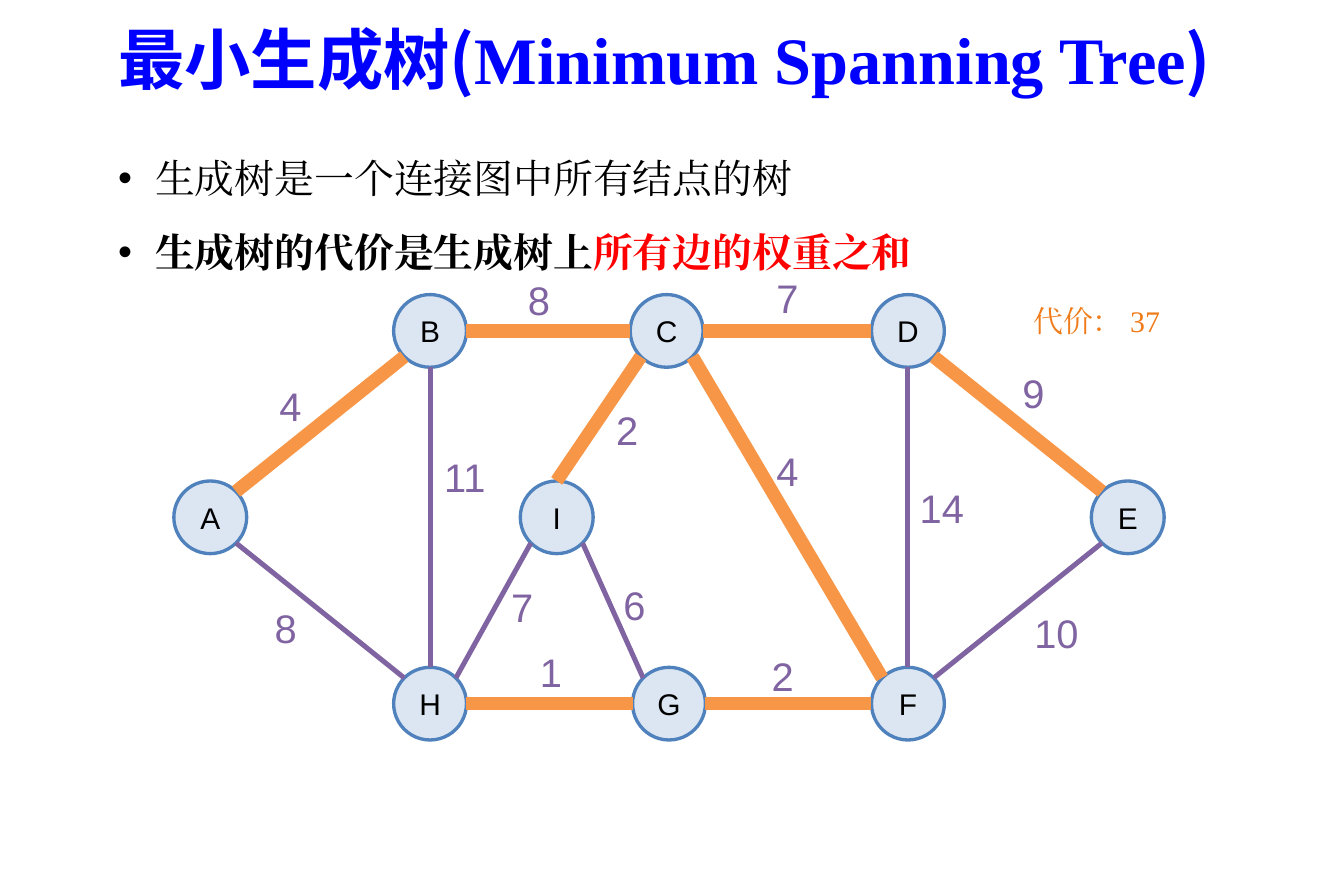
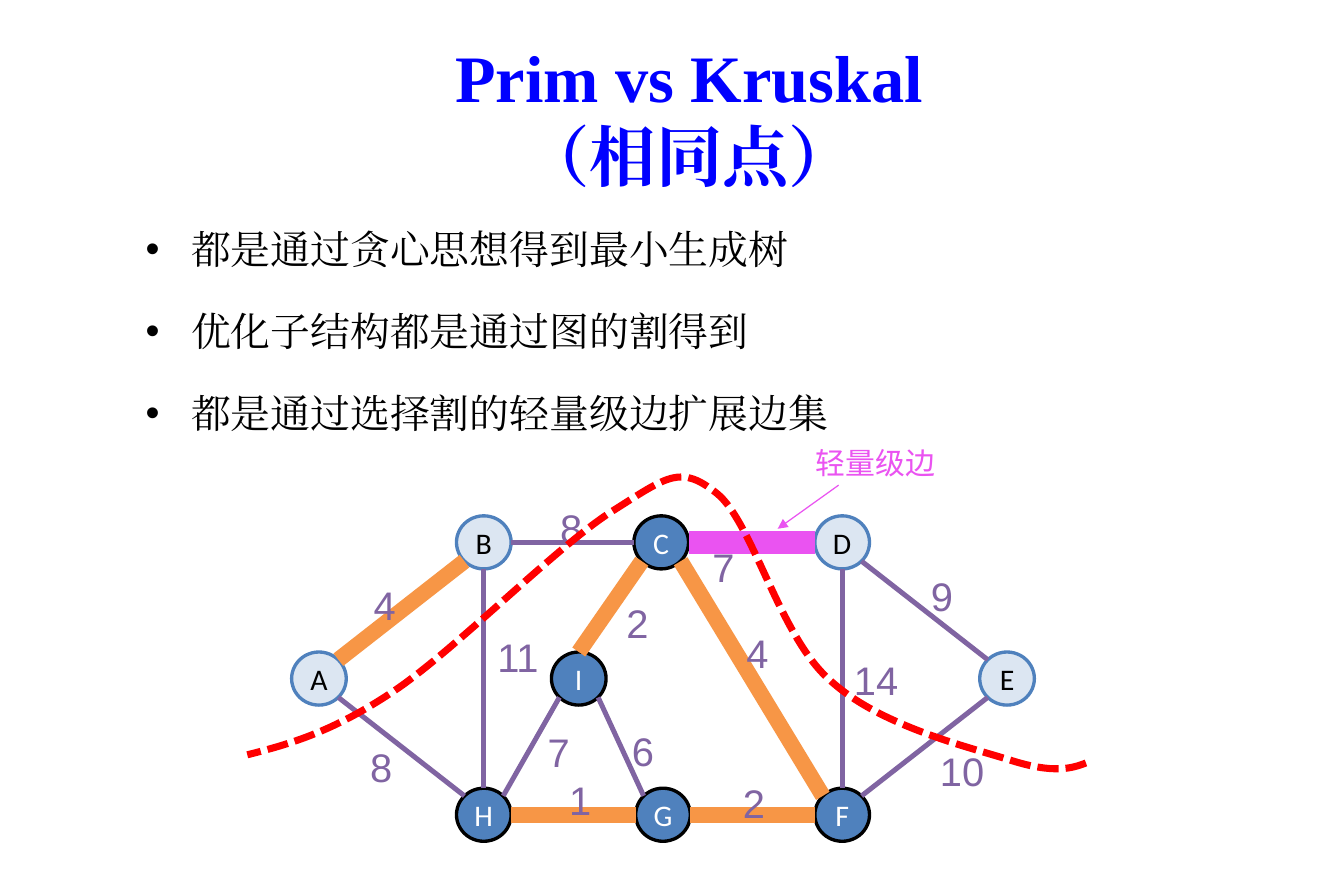
"""Build two slides on minimum spanning trees and save them as out.pptx."""
from dataclasses import dataclass, field
from typing import NamedTuple

from lxml import etree
from pptx import Presentation
from pptx.dml.color import RGBColor
from pptx.enum.dml import MSO_LINE
from pptx.enum.shapes import MSO_CONNECTOR, MSO_SHAPE
from pptx.enum.text import MSO_ANCHOR, PP_ALIGN
from pptx.oxml.ns import qn
from pptx.util import Inches, Pt

ELLIPSE = MSO_SHAPE.OVAL
STRAIGHT = MSO_CONNECTOR.STRAIGHT
SYS_DASH = MSO_LINE.SQUARE_DOT
MIDDLE, TOP = MSO_ANCHOR.MIDDLE, MSO_ANCHOR.TOP
LEFT, CENTER, JUSTIFY = PP_ALIGN.LEFT, PP_ALIGN.CENTER, PP_ALIGN.JUSTIFY


@dataclass(frozen=True)
class Theme:
    """Colours, fonts and sizes shared by the slides."""
    title: str = "0000FF"
    ink: str = "000000"
    white: str = "FFFFFF"
    red: str = "FF0000"
    edge: str = "8064A2"
    tree: str = "F79646"
    cost: str = "F07B1A"
    light: str = "EA53F1"
    blue: str = "4F81BD"
    pale: str = "DCE6F2"
    serif: str = "Times New Roman"
    sans: str = "Arial"
    node: str = "Calibri"
    cjk: str = "Noto Sans CJK SC"
    title_size: float = 40
    body_size: float = 24
    small_size: float = 18
    edge_width: float = 3
    node_width: float = 2


T = Theme()
SLIDE_W, SLIDE_H = Inches(11.25), Inches(7.5)


class Box(NamedTuple):
    """A rectangle in percent of the slide's width and height."""
    left: float
    top: float
    width: float
    height: float


class Point(NamedTuple):
    """A place in columns and rows of the graph grid."""
    col: float
    row: float


class Run(NamedTuple):
    """A piece of text in one style."""
    text: str
    size: float
    color: str
    font: str = T.serif
    bold: bool = False


class Stroke(NamedTuple):
    """Colour and width of a line."""
    color: str
    width: float


class Edge(NamedTuple):
    """A weighted edge, the corner of its label, and whether it ends on top."""
    ends: str
    weight: str
    label: Point
    ends_on_top: bool = False


class Grid(NamedTuple):
    """The graph grid: place of node B, column and row length in inches."""
    left: float
    top: float
    col: float
    row: float

    def at(self, p: Point) -> tuple[int, int]:
        """Turn a grid point into slide lengths."""
        return Inches(self.left + p.col * self.col), Inches(self.top + p.row * self.row)


@dataclass(frozen=True)
class GraphStyle:
    """How one slide shows the common graph."""
    grid: Grid
    font: str
    strokes: dict[str, Stroke]
    dark_nodes: str = ""
    moved_labels: dict[str, Point] = field(default_factory=dict)


NODE_W, NODE_H, DIAGONAL = 0.305, 0.39, 0.71
LABEL_W, LABEL_H = 0.43, 0.5
NODES = {
    "A": Point(-0.92, 1), "B": Point(0, 0), "C": Point(0.99, 0),
    "D": Point(2, 0), "E": Point(2.92, 1), "F": Point(2, 2),
    "G": Point(1, 2), "H": Point(0, 2), "I": Point(0.53, 1),
}
EDGES = [
    Edge("AB", "4", Point(-0.68, 0.24)),
    Edge("BC", "8", Point(0.36, -0.33)),
    Edge("CD", "7", Point(1.4, -0.34)),
    Edge("DE", "9", Point(2.43, 0.17)),
    Edge("EF", "10", Point(2.48, 1.46)),
    Edge("DF", "14", Point(2, 0.79)),
    Edge("CF", "4", Point(1.4, 0.59)),
    Edge("FG", "2", Point(1.38, 1.69)),
    Edge("CI", "2", Point(0.73, 0.37), True),
    Edge("GH", "1", Point(0.41, 1.67)),
    Edge("HI", "7", Point(0.29, 1.32)),
    Edge("GI", "6", Point(0.76, 1.31)),
    Edge("AH", "8", Point(-0.7, 1.43)),
    Edge("BH", "11", Point(0.01, 0.62)),
]
CUT = [
    Point(3.36, 1.62),
    Point(3.28, 1.66), Point(3.18, 1.7), Point(2.94, 1.6),
    Point(2.7, 1.5), Point(2.21, 1.35), Point(1.93, 1.01),
    Point(1.65, 0.69), Point(1.5, -0.15), Point(1.3, -0.36),
    Point(1.1, -0.57), Point(1.03, -0.49), Point(0.73, -0.24),
    Point(0.43, 0), Point(-0.16, 0.79), Point(-0.5, 1.09),
    Point(-0.84, 1.39), Point(-1.08, 1.48), Point(-1.32, 1.56),
]


def rgb(color: str) -> RGBColor:
    """Read a hex colour."""
    return RGBColor.from_string(color)


def add_run(p, run: Run) -> None:
    """Append a styled run, with one font for all scripts."""
    r = p.add_run()
    r.text = run.text
    r.font.size, r.font.bold, r.font.name = Pt(run.size), run.bold, run.font
    r.font.color.rgb = rgb(run.color)
    etree.SubElement(r._r.get_or_add_rPr(), qn("a:ea")).set("typeface", run.font)


def add_text(s, place: tuple, lines: list[list[Run]], align=LEFT):
    """Add a wrapping text box at slide lengths."""
    tf = s.shapes.add_textbox(*place).text_frame
    tf.word_wrap, tf.vertical_anchor = True, TOP
    for i, line in enumerate(lines):
        p = tf.add_paragraph() if i else tf.paragraphs[0]
        p.alignment = align
        for run in line:
            add_run(p, run)
    return tf


def scaled(box: Box) -> tuple[int, int, int, int]:
    """Turn percentages into slide lengths."""
    return (int(box.left * SLIDE_W / 100), int(box.top * SLIDE_H / 100),
            int(box.width * SLIDE_W / 100), int(box.height * SLIDE_H / 100))


def add_title(s, box: Box, lines: list[list[tuple[str, str]]]) -> None:
    """Add a centred blue title from text and font pairs."""
    add_text(s, scaled(box), [[Run(text, T.title_size, T.title, font, True)
                               for text, font in line] for line in lines], CENTER)


def add_bullets(s, box: Box, lines: list[list[Run]], indent: float,
                align=LEFT, gap: float = 0) -> None:
    """Add a bulleted list with hanging indents."""
    tf = add_text(s, scaled(box), lines, align)
    for i, p in enumerate(tf.paragraphs):
        p.line_spacing = 1.55
        p.space_before = Pt(gap if i else 0)
        pPr = p._p.get_or_add_pPr()
        pPr.set("marL", str(Inches(indent)))
        pPr.set("indent", str(-Inches(indent)))
        etree.SubElement(pPr, qn("a:buFont")).set("typeface", T.sans)
        etree.SubElement(pPr, qn("a:buChar")).set("char", "•")


def add_line(s, grid: Grid, start: Point, end: Point, stroke: Stroke,
             arrow: bool = False) -> None:
    """Join two grid points, with an arrowhead if asked."""
    c = s.shapes.add_connector(STRAIGHT, *grid.at(start), *grid.at(end))
    c.line.color.rgb, c.line.width = rgb(stroke.color), Pt(stroke.width)
    spPr = c._element.spPr
    if arrow:
        etree.SubElement(spPr.find(qn("a:ln")), qn("a:tailEnd")).set("type", "triangle")
    etree.SubElement(spPr, qn("a:effectLst"))


def add_node(s, name: str, style: GraphStyle) -> None:
    """Add a lettered circle centred on its grid point."""
    grid, dark = style.grid, name in style.dark_nodes
    w, h = Inches(NODE_W * grid.col), Inches(NODE_H * grid.row)
    x, y = grid.at(NODES[name])
    sp = s.shapes.add_shape(ELLIPSE, x - w // 2, y - h // 2, w, h)
    sp.shadow.inherit = False
    sp.fill.solid()
    sp.fill.fore_color.rgb = rgb(T.blue if dark else T.pale)
    sp.line.color.rgb = rgb(T.ink if dark else T.blue)
    sp.line.width = Pt(T.node_width)
    tf = sp.text_frame
    tf.margin_left = tf.margin_right = tf.margin_top = tf.margin_bottom = 0
    tf.word_wrap, tf.vertical_anchor = False, MIDDLE
    p = tf.paragraphs[0]
    p.alignment = CENTER
    add_run(p, Run(name, T.small_size, T.white if dark else T.ink, style.font))


def rim(name: str, other: str, on_top: bool = False) -> Point:
    """Find where the edge towards another node leaves a node's circle."""
    a, b = NODES[name], NODES[other]
    dx = 0 if on_top else (b.col > a.col) - (b.col < a.col)
    dy = (b.row > a.row) - (b.row < a.row)
    reach = DIAGONAL / 2 if dx and dy else 0.5
    return Point(a.col + dx * reach * NODE_W, a.row + dy * reach * NODE_H)


def add_graph(s, style: GraphStyle) -> None:
    """Draw nodes, edges and weights."""
    grid, plain = style.grid, Stroke(T.edge, T.edge_width)
    for name in NODES:
        add_node(s, name, style)
    for edge in EDGES:
        a, b = edge.ends
        add_line(s, grid, rim(a, b), rim(b, a, edge.ends_on_top),
                 style.strokes.get(edge.ends, plain))
    for edge in EDGES:
        corner = grid.at(style.moved_labels.get(edge.ends, edge.label))
        size = Inches(LABEL_W * grid.col), Inches(LABEL_H)
        add_text(s, corner + size, [[Run(edge.weight, T.body_size, T.edge, T.sans)]])


def add_cut(s, grid: Grid) -> None:
    """Draw the dashed cut as a chain of cubic curves."""
    start, *rest = [grid.at(p) for p in CUT]
    builder = s.shapes.build_freeform(*start, scale=1.0)
    builder.add_line_segments(rest, close=False)
    sp = builder.convert_to_shape()
    sp.shadow.inherit = False
    sp.fill.background()
    sp.line.color.rgb, sp.line.width = rgb(T.red), Pt(4.25)
    sp.line.dash_style = SYS_DASH
    outline = next(sp._element.iter(qn("a:path")))
    steps = outline.findall(qn("a:lnTo"))
    for i in range(0, len(steps), 3):
        curve = etree.SubElement(outline, qn("a:cubicBezTo"))
        for step in steps[i:i + 3]:
            curve.append(step[0])
            outline.remove(step)


def build_tree_slide(s) -> None:
    """Draw the definition slide."""
    add_title(s, Box(0, 1.33, 98.89, 12),
              [[("最小生成树(", T.cjk), ("Minimum Spanning Tree", T.serif), (")", T.cjk)]])
    add_bullets(s, Box(7.91, 13.6, 68.44, 16.53), [
        [Run("生成树是一个连接图中所有结点的树", T.body_size, T.ink)],
        [Run("生成树的代价是生成树上", T.body_size, T.ink, bold=True),
         Run("所有边的权重之和", T.body_size, T.red, bold=True)],
    ], 0.31, JUSTIFY)
    tree = ("AB", "BC", "CD", "DE", "CF", "FG", "CI", "GH")
    add_graph(s, GraphStyle(Grid(3.6, 2.77, 2, 1.56), T.sans,
                            dict.fromkeys(tree, Stroke(T.tree, 8))))
    add_text(s, scaled(Box(76, 33.07, 17.42, 5.33)),
             [[Run("代价： 37", T.small_size, T.cost)]])


def build_cut_slide(s) -> None:
    """Draw the comparison slide."""
    add_title(s, Box(6.31, 3.33, 89.96, 16.67),
              [[("Prim vs Kruskal", T.serif)], [("（相同点）", T.serif)]])
    points = ("都是通过贪心思想得到最小生成树", "优化子结构都是通过图的割得到",
              "都是通过选择割的轻量级边扩展边集")
    add_bullets(s, Box(9.96, 21.47, 78.4, 30),
                [[Run(text, T.body_size, T.ink)] for text in points], 0.38, gap=4.8)
    grid = Grid(4.05, 4.54, 1.5, 1.14)
    strokes = dict.fromkeys(("AB", "CF", "FG", "CI", "GH"), Stroke(T.tree, 9.5))
    strokes["CD"] = Stroke(T.light, 14)
    add_graph(s, GraphStyle(grid, T.node, strokes, "CFGHI", {"CD": Point(1.21, -0.04)}))
    add_cut(s, grid)
    add_text(s, scaled(Box(59.82, 48.93, 24.27, 5.33)),
             [[Run("轻量级边", T.small_size, T.light, T.cjk)]])
    add_line(s, grid, Point(1.98, -0.42), Point(1.64, -0.1), Stroke(T.light, 0.75), True)


def main() -> None:
    """Build and save the presentation."""
    prs = Presentation()
    prs.slide_width, prs.slide_height = SLIDE_W, SLIDE_H
    for build in (build_tree_slide, build_cut_slide):
        build(prs.slides.add_slide(prs.slide_layouts[6]))
    prs.save("out.pptx")


if __name__ == "__main__":
    main()
